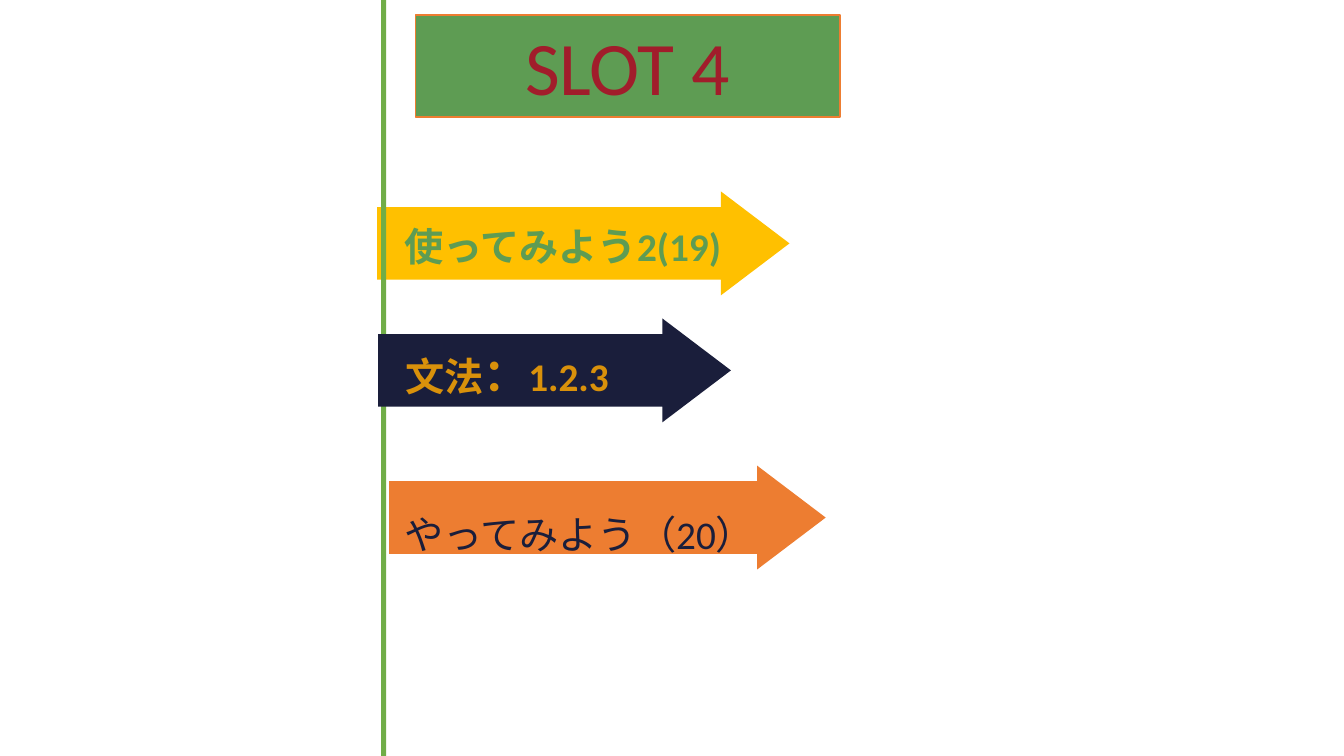
from dataclasses import dataclass

from pptx import Presentation
from pptx.dml.color import RGBColor
from pptx.enum.shapes import MSO_SHAPE as Shape
from pptx.enum.text import MSO_ANCHOR as Anchor, PP_ALIGN as Align
from pptx.util import Inches, Pt


@dataclass(frozen=True)
class Theme:
    """Fonts, type sizes and colours of the slide."""
    font: str = "Calibri"
    title_size: int = 54
    body_size: int = 28
    colon_size: int = 32
    green: str = "5E9C53"
    line_green: str = "70AD47"
    red: str = "A11D2B"
    orange: str = "ED7D31"
    yellow: str = "FFC000"
    navy: str = "1A1E3B"
    gold: str = "D9910B"


THEME = Theme()


def add_block(slide, kind, left, top, width, height, fill):
    """Add a filled shape without outline or shadow."""
    shape = slide.shapes.add_shape(
        kind, Inches(left), Inches(top), Inches(width), Inches(height))
    shape.shadow.inherit = False
    shape.fill.solid()
    shape.fill.fore_color.rgb = RGBColor.from_string(fill)
    shape.line.fill.background()
    return shape


def add_arrow(slide, left, top, width, fill):
    """Add a right arrow of the common height and proportions."""
    arrow = add_block(slide, Shape.RIGHT_ARROW, left, top, width, 1.03, fill)
    arrow.adjustments[0] = 0.7
    arrow.adjustments[1] = 0.66


def write_runs(paragraph, runs, color, bold=False):
    """Write (text, size) runs in one colour."""
    for text, size in runs:
        run = paragraph.add_run()
        run.text = text
        run.font.name = THEME.font
        run.font.size = Pt(size)
        run.font.bold = bold
        run.font.color.rgb = RGBColor.from_string(color)


def add_label(slide, left, top, width, height, runs, color, bold=False):
    """Add a wrapped text box holding one line of runs."""
    box = slide.shapes.add_textbox(
        Inches(left), Inches(top), Inches(width), Inches(height))
    box.text_frame.word_wrap = True
    write_runs(box.text_frame.paragraphs[0], runs, color, bold)


def add_title(slide, text):
    """Add the outlined title box."""
    title = add_block(slide, Shape.RECTANGLE, 4.12, 0.15, 4.21, 1.01, THEME.green)
    title.line.color.rgb = RGBColor.from_string(THEME.orange)
    title.line.width = Pt(1)
    title.text_frame.word_wrap = True
    title.text_frame.vertical_anchor = Anchor.TOP
    paragraph = title.text_frame.paragraphs[0]
    paragraph.alignment = Align.CENTER
    write_runs(paragraph, [(text, THEME.title_size)], THEME.red)


def main():
    """Build and save the slide."""
    presentation = Presentation()
    presentation.slide_width = Inches(13.33)
    presentation.slide_height = Inches(7.5)
    slide = presentation.slides.add_slide(presentation.slide_layouts[6])
    size = THEME.body_size

    add_arrow(slide, 3.86, 4.62, 4.33, THEME.orange)
    add_arrow(slide, 3.74, 1.9, 4.09, THEME.yellow)
    add_block(slide, Shape.RECTANGLE, 3.78, 0, 0.05, 7.5, THEME.line_green)
    add_arrow(slide, 3.75, 3.16, 3.5, THEME.navy)

    add_title(slide, "SLOT 4")
    add_label(slide, 3.91, 2.16, 4.48, 0.57,
              [("使ってみよう2(19)", size)], THEME.green, bold=True)
    add_label(slide, 3.92, 3.39, 3.05, 0.64,
              [("文法", size), ("：", THEME.colon_size), ("1.2.3", size)],
              THEME.gold, bold=True)
    add_label(slide, 3.91, 5.01, 4.09, 0.57,
              [("やってみよう（20）", size)], THEME.navy)
    presentation.save("out.pptx")


if __name__ == "__main__":
    main()
